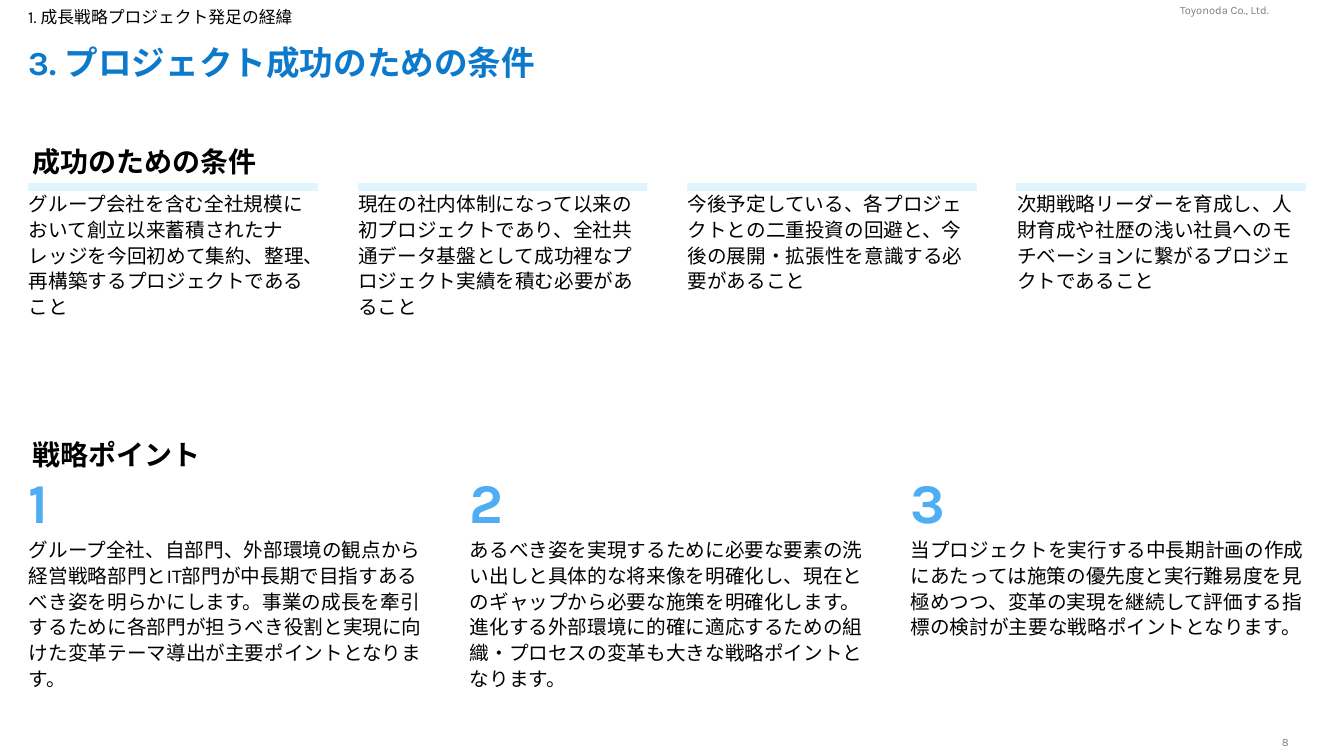
from lxml.etree import SubElement
from pptx import Presentation
from pptx.dml.color import RGBColor
from pptx.enum.text import MSO_ANCHOR, PP_ALIGN
from pptx.oxml.ns import qn
from pptx.util import Cm, Pt

COLORS = {
    "title": "0D79CA", "text": "000000", "muted": "808080",
    "bar": "DFF5FD", "number": "4FADF3",
}
FONT = "Karla"
NO_STYLE = "{2D5ABB26-0587-4C30-8999-92F81FD0307C}"
LEFT = 0.71

CONDITIONS = [
    "グループ会社を含む全社規模において創立以来蓄積されたナレッジを今回初めて集約、整理、再構築するプロジェクトであること",
    "現在の社内体制になって以来の初プロジェクトであり、全社共通データ基盤として成功裡なプロジェクト実績を積む必要があること",
    "今後予定している、各プロジェクトとの二重投資の回避と、今後の展開・拡張性を意識する必要があること",
    "次期戦略リーダーを育成し、人財育成や社歴の浅い社員へのモチベーションに繋がるプロジェクトであること",
]
POINTS = [
    "グループ全社、自部門、外部環境の観点から経営戦略部門とIT部門が中長期で目指すあるべき姿を明らかにします。事業の成長を牽引するために各部門が担うべき役割と実現に向けた変革テーマ導出が主要ポイントとなります。",
    "あるべき姿を実現するために必要な要素の洗い出しと具体的な将来像を明確化し、現在とのギャップから必要な施策を明確化します。進化する外部環境に的確に適応するための組織・プロセスの変革も大きな戦略ポイントとなります。",
    "当プロジェクトを実行する中長期計画の作成にあたっては施策の優先度と実行難易度を見極めつつ、変革の実現を継続して評価する指標の検討が主要な戦略ポイントとなります。",
]


def write(tf, text, size=14, color="text", bold=False, align=PP_ALIGN.LEFT, spacing=0.9):
    """Put formatted text into the first paragraph of a text frame."""
    p = tf.paragraphs[0]
    p.alignment = align
    p.line_spacing = spacing
    r = p.add_run()
    r.text = text
    r.font.name = FONT
    r.font.size = Pt(size)
    r.font.bold = bold
    r.font.color.rgb = RGBColor.from_string(COLORS[color])


def add_text(s, text, left, top, width, height, wrap=True, inset=0,
             anchor=MSO_ANCHOR.MIDDLE, **fmt):
    """Add a text box without side margins."""
    tf = s.shapes.add_textbox(Cm(left), Cm(top), Cm(width), Cm(height)).text_frame
    tf.word_wrap = wrap
    tf.vertical_anchor = anchor
    tf.margin_left = tf.margin_right = 0
    tf.margin_top = tf.margin_bottom = Cm(inset)
    write(tf, text, **fmt)


def clear_cell(cell):
    """Remove the fill and margins of a cell and shrink its empty line."""
    cell.fill.background()
    cell.margin_left = cell.margin_right = cell.margin_top = cell.margin_bottom = 0
    p = cell.text_frame.paragraphs[0]
    SubElement(p._p, qn("a:endParaRPr"), sz="100")


def fill_cell(cell, text, **fmt):
    """Write body text into a cell."""
    cell.margin_left = Cm(0.02)
    cell.margin_right = Cm(0.1)
    write(cell.text_frame, text, **fmt)


def add_section(s, heading, top, col, gap, rows, texts):
    """Add a plain table with a heading row and return its content columns."""
    count = 2 * len(texts) - 1
    width = col * len(texts) + gap * (len(texts) - 1)
    frame = s.shapes.add_table(len(rows), count, Cm(LEFT), Cm(top), Cm(width), Cm(sum(rows)))
    table = frame.table
    table.first_row = table.horz_banding = False
    for style in frame.element.iter(qn("a:tableStyleId")):
        style.text = NO_STYLE
    for i, column in enumerate(table.columns):
        column.width = Cm(gap if i % 2 else col)
    for row, height in zip(table.rows, rows):
        row.height = Cm(height)
    for cell in table.iter_cells():
        clear_cell(cell)
    head = table.cell(0, 0)
    head.margin_left = Cm(0.1)
    head.vertical_anchor = MSO_ANCHOR.MIDDLE
    write(head.text_frame, heading, size=20, bold=True)
    for i, text in enumerate(texts):
        fill_cell(table.cell(2, 2 * i), text)
    return [table.cell(1, 2 * i) for i in range(len(texts))]


def main():
    """Build the slide and save it."""
    prs = Presentation()
    prs.slide_width, prs.slide_height = Cm(33.87), Cm(19.05)
    s = prs.slides.add_slide(prs.slide_layouts[6])

    add_text(s, "Toyonoda Co., Ltd.", 29.74, 0.1, 2.36, 0.33, wrap=False,
             size=8, color="muted", spacing=1.0)
    add_text(s, "8", 31.83, 18.52, 1.12, 0.33, anchor=MSO_ANCHOR.TOP,
             size=8, color="muted", align=PP_ALIGN.CENTER, spacing=1.0)
    add_text(s, "3. プロジェクト成功のための条件", LEFT, 0.89, 32.2, 1.5,
             inset=0.13, size=24, color="title", bold=True)
    add_text(s, "1. 成長戦略プロジェクト発足の経緯", LEFT, 0.1, 16.2, 0.71,
             inset=0.13, size=12)

    bars = add_section(s, "成功のための条件", 3.53, 7.3, 1, [1.09, 0.2, 3], CONDITIONS)
    for bar in bars:
        bar.fill.solid()
        bar.fill.fore_color.rgb = RGBColor.from_string(COLORS["bar"])

    numbers = add_section(s, "戦略ポイント", 10.92, 10.03, 1.08, [1.09, 0.99, 3], POINTS)
    for i, cell in enumerate(numbers, 1):
        fill_cell(cell, str(i), size=40, color="number", bold=True)

    prs.save("out.pptx")


if __name__ == "__main__":
    main()
